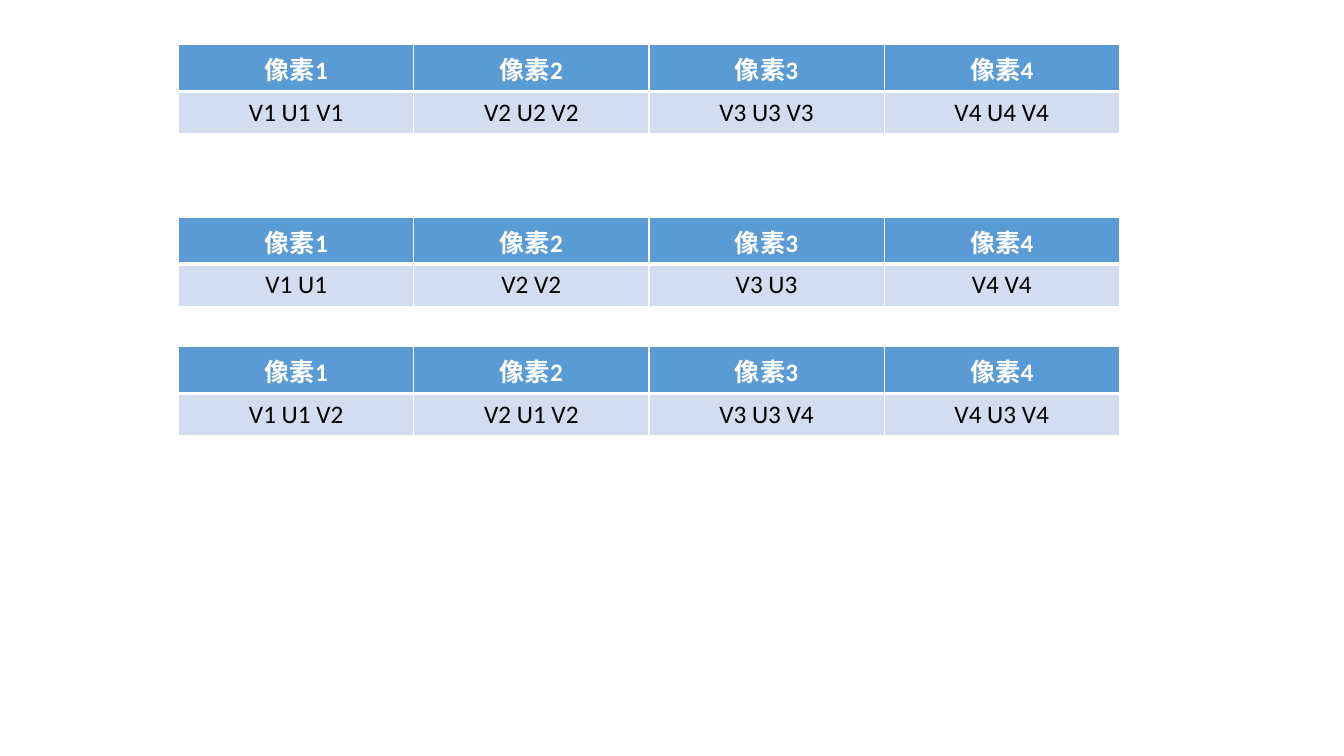
from dataclasses import dataclass

from lxml.etree import SubElement as Sub
from pptx import Presentation
from pptx.dml.color import RGBColor as RGB
from pptx.enum.text import MSO_ANCHOR as Anchor, PP_ALIGN as Align
from pptx.oxml.ns import qn
from pptx.util import Pt


@dataclass(frozen=True)
class Theme:
    """Colours, font and type size of the slide."""
    head: str = "5B9BD5"
    body: str = "D2DEEF"
    light: str = "FFFFFF"
    dark: str = "000000"
    font: str = "Calibri"
    size: int = 18


theme = Theme()


def edge(cell, side, width):
    """Draw one border of a cell; side is L, R, T or B."""
    line = Sub(cell._tc.get_or_add_tcPr(), qn("a:ln" + side), w=str(Pt(width)))
    fill = Sub(line, qn("a:solidFill"))
    Sub(fill, qn("a:srgbClr"), val=theme.light)


def style(cell, text, fore, back, bold):
    """Fill a cell and set its centred text."""
    cell.fill.solid()
    cell.fill.fore_color.rgb = RGB.from_string(back)
    cell.vertical_anchor = Anchor.MIDDLE
    para = cell.text_frame.paragraphs[0]
    para.text = text
    para.alignment = Align.CENTER
    font = para.runs[0].font
    font.name, font.size, font.bold = theme.font, Pt(theme.size), bold
    font.color.rgb = RGB.from_string(fore)


deck = Presentation()
deck.slide_width, deck.slide_height = Pt(960), Pt(540)
slide = deck.slides.add_slide(deck.slide_layouts[6])

left, wide, high = 127.6, 168, 30
pixels = ["像素1", "像素2", "像素3", "像素4"]
samples = [
    (32, ["V1 U1 V1", "V2 U2 V2", "V3 U3 V3", "V4 U4 V4"]),
    (155.5, ["V1 U1", "V2 V2", "V3 U3", "V4 V4"]),
    (247.7, ["V1 U1 V2", "V2 U1 V2", "V3 U3 V4", "V4 U3 V4"]),
]

for top, values in samples:
    count = len(pixels)
    table = slide.shapes.add_table(2, count, Pt(left), Pt(top),
                                   Pt(wide * count), Pt(high * 2)).table
    table.horz_banding = False
    for row, texts in enumerate([pixels, values]):
        is_head = row == 0
        fore, back = ((theme.light, theme.head) if is_head
                      else (theme.dark, theme.body))
        for col, text in enumerate(texts):
            cell = table.cell(row, col)
            for side in "LRTB":
                rule = (side == "B") if is_head else (side == "T")
                edge(cell, side, 3 if rule else 1)
            style(cell, text, fore, back, is_head)

deck.save("out.pptx")
